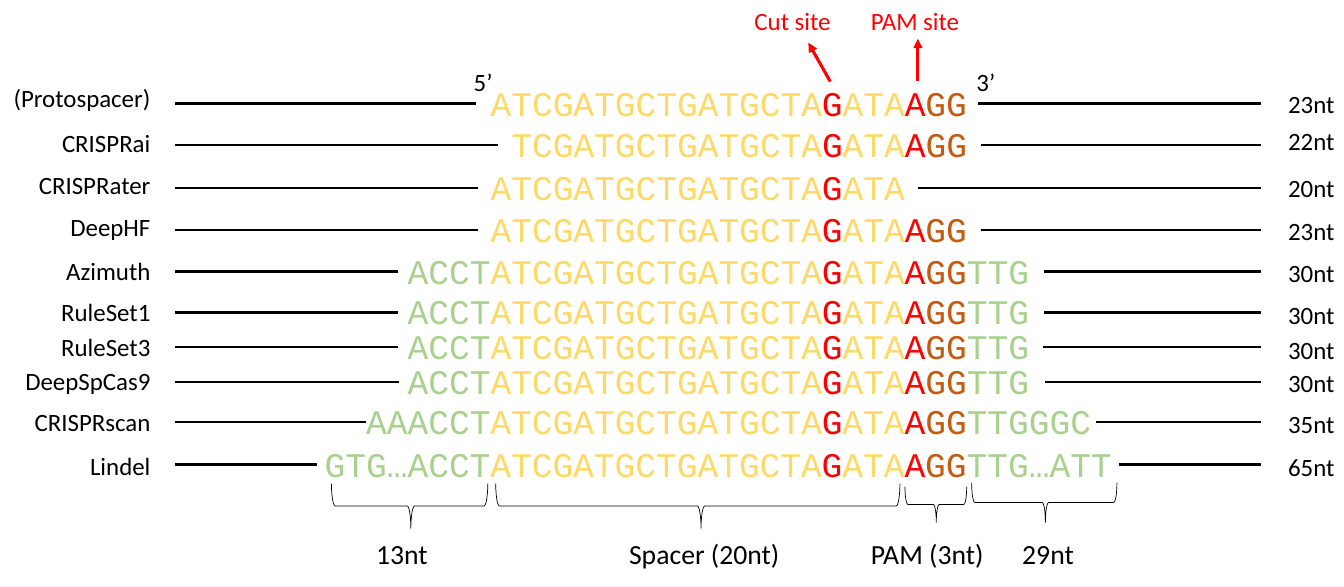
from lxml import etree
from pptx import Presentation
from pptx.dml.color import RGBColor
from pptx.enum import shapes, text
from pptx.oxml import ns
from pptx.util import Inches, Pt

BLACK = RGBColor(0x00, 0x00, 0x00)
RED = RGBColor(0xFF, 0x00, 0x00)
YELLOW = RGBColor(0xFF, 0xD9, 0x66)
BROWN = RGBColor(0xC5, 0x5A, 0x11)
GREEN = RGBColor(0xA9, 0xD1, 0x8E)

SPACER = "ATCGATGCTGATGCTA"
# tool, upstream, spacer start, PAM, downstream, length,
# line y, left line end, right line start, name top, length top
ROWS = [
    ("(Protospacer)", "", SPACER, "AGG", "", "23nt", 1.04, 4.78, 9.82, 0.78, 0.84),
    ("CRISPRai", "", SPACER[1:], "AGG", "", "22nt", 1.46, 5.0, 9.85, 1.23, 1.21),
    ("CRISPRater", "", SPACER, "", "", "20nt", 1.89, 4.8, 9.22, 1.66, 1.69),
    ("DeepHF", "", SPACER, "AGG", "", "23nt", 2.31, 4.8, 9.85, 2.08, 2.12),
    ("Azimuth", "ACCT", SPACER, "AGG", "TTG", "30nt", 2.73, 4.0, 10.49, 2.52, 2.54),
    ("RuleSet1", "ACCT", SPACER, "AGG", "TTG", "30nt", 3.14, 4.0, 10.49, 2.93, 2.96),
    ("RuleSet3", "ACCT", SPACER, "AGG", "TTG", "30nt", 3.49, 4.0, 10.48, 3.28, 3.31),
    ("DeepSpCas9", "ACCT", SPACER, "AGG", "TTG", "30nt", 3.84, 4.01, 10.5, 3.63, 3.65),
    ("CRISPRscan", "AAACCT", SPACER, "AGG", "TTGGGC", "35nt", 4.24, 3.68, 11.01, 4.04, 4.06),
    ("Lindel", "GTG…ACCT", SPACER, "AGG", "TTG…ATT", "65nt", 4.67, 3.18, 11.24, 4.48, 4.49),
]
# left, right, top, depth
BRACES = [(3.33, 4.9, 4.86, 0.45), (4.98, 9.04, 4.86, 0.45),
          (9.09, 9.71, 4.89, 0.36), (9.76, 11.22, 4.85, 0.4)]
# text, left, top, width, size, colour
CAPTIONS = [
    ("13nt", 3.68, 5.35, 0.84, 20, BLACK),
    ("Spacer (20nt)", 6.22, 5.35, 2.25, 20, BLACK),
    ("PAM (3nt)", 8.65, 5.35, 1.52, 20, BLACK),
    ("29nt", 10.17, 5.35, 0.84, 20, BLACK),
    ("Cut site", 7.48, 0.01, 1.11, 18, RED),
    ("PAM site", 8.65, 0.01, 1.73, 18, RED),
    ("5’", 4.66, 0.62, 0.5, 18, BLACK),
    ("3’", 9.71, 0.62, 0.5, 18, BLACK),
]
ARROWS = [(8.34, 0.82, 8.12, 0.43), (9.22, 0.81, 9.22, 0.39)]

LINE_LEFT, LINE_RIGHT = 1.76, 12.67
SPACER_LEFT = 4.83
LETTER_WIDTH = 25 * 0.6 / 72  # Courier New at 25 points

presentation = Presentation()
presentation.slide_width = Inches(13.5)
presentation.slide_height = Inches(5.9)
slide = presentation.slides.add_slide(presentation.slide_layouts[6])


def add_text(runs, left, top, width, size, font="Calibri", align=text.PP_ALIGN.LEFT):
    height = 0.52 if size == 25 else 0.44 if size == 20 else 0.4
    box = slide.shapes.add_textbox(Inches(left), Inches(top), Inches(width), Inches(height))
    frame = box.text_frame
    frame.word_wrap = True
    paragraph = frame.paragraphs[0]
    paragraph.alignment = align
    paragraph.font.size = Pt(size)
    paragraph.font.name = font
    for words, colour in runs:
        if words:
            run = paragraph.add_run()
            run.text = words
            run.font.color.rgb = colour
    return box


def add_line(x1, y1, x2, y2, colour=BLACK, width=1.75, arrow=False):
    line = slide.shapes.add_connector(shapes.MSO_CONNECTOR.STRAIGHT,
                                      Inches(x1), Inches(y1), Inches(x2), Inches(y2))
    line.line.color.rgb = colour
    line.line.width = Pt(width)
    if arrow:
        etree.SubElement(line.line._get_or_add_ln(), ns.qn("a:tailEnd"), type="triangle")
    etree.SubElement(line._element.spPr, ns.qn("a:effectLst"))


# Sequence rows
for (tool, upstream, spacer, pam, downstream, length,
     y, left_end, right_start, name_top, length_top) in ROWS:
    add_line(LINE_LEFT, y, left_end, y)
    add_line(right_start, y, LINE_RIGHT, y)
    add_text([(tool, BLACK)], 0, name_top, 1.61, 18, align=text.PP_ALIGN.RIGHT)
    missing = len(SPACER) - len(spacer)
    left = SPACER_LEFT + (missing - len(upstream)) * LETTER_WIDTH
    add_text([(upstream, GREEN), (spacer, YELLOW), ("G", RED), ("ATA", YELLOW),
              (pam[:1], RED), (pam[1:], BROWN), (downstream, GREEN)],
             left, y - 0.27, 12.16 - left, 25, "Courier New")
    length_box = add_text([(length, BLACK)], 12.84, length_top, 0.66, 18)
    length_box.text_frame.margin_right = 0

# Braces: a left brace turned to point down
for left, right, top, depth in BRACES:
    span = right - left
    brace = slide.shapes.add_shape(
        shapes.MSO_SHAPE.LEFT_BRACE,
        Inches((left + right - depth) / 2), Inches(top + (depth - span) / 2),
        Inches(depth), Inches(span))
    brace.rotation = 270
    brace.adjustments[0] = 0.083
    brace.adjustments[1] = 0.508
    brace.fill.background()
    brace.line.color.rgb = BLACK
    brace.line.width = Pt(0.5)
    brace.shadow.inherit = False

# Captions and site arrows
for words, left, top, width, size, colour in CAPTIONS:
    add_text([(words, colour)], left, top, width, size)
for ends in ARROWS:
    add_line(*ends, colour=RED, width=2.25, arrow=True)

presentation.save("out.pptx")
